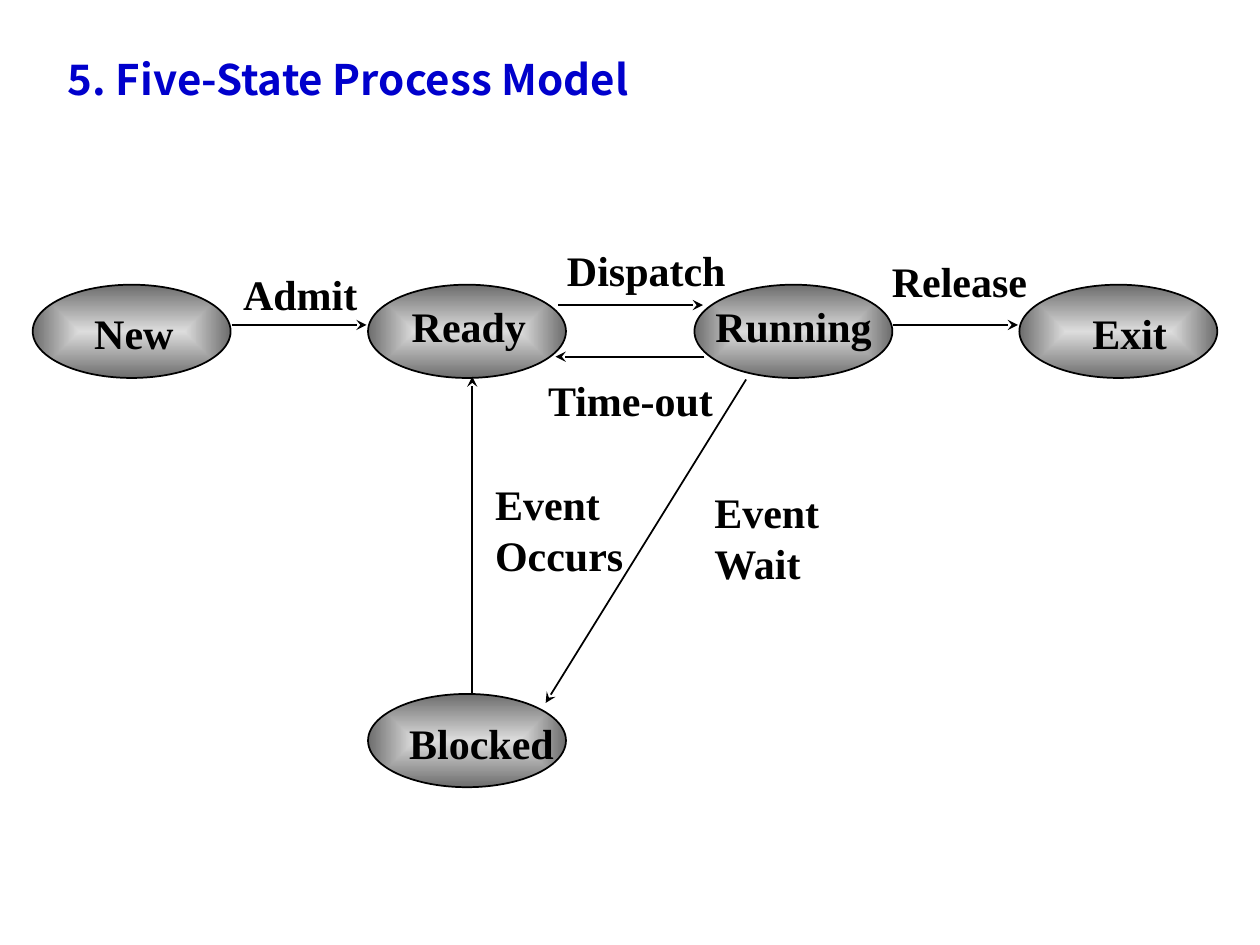
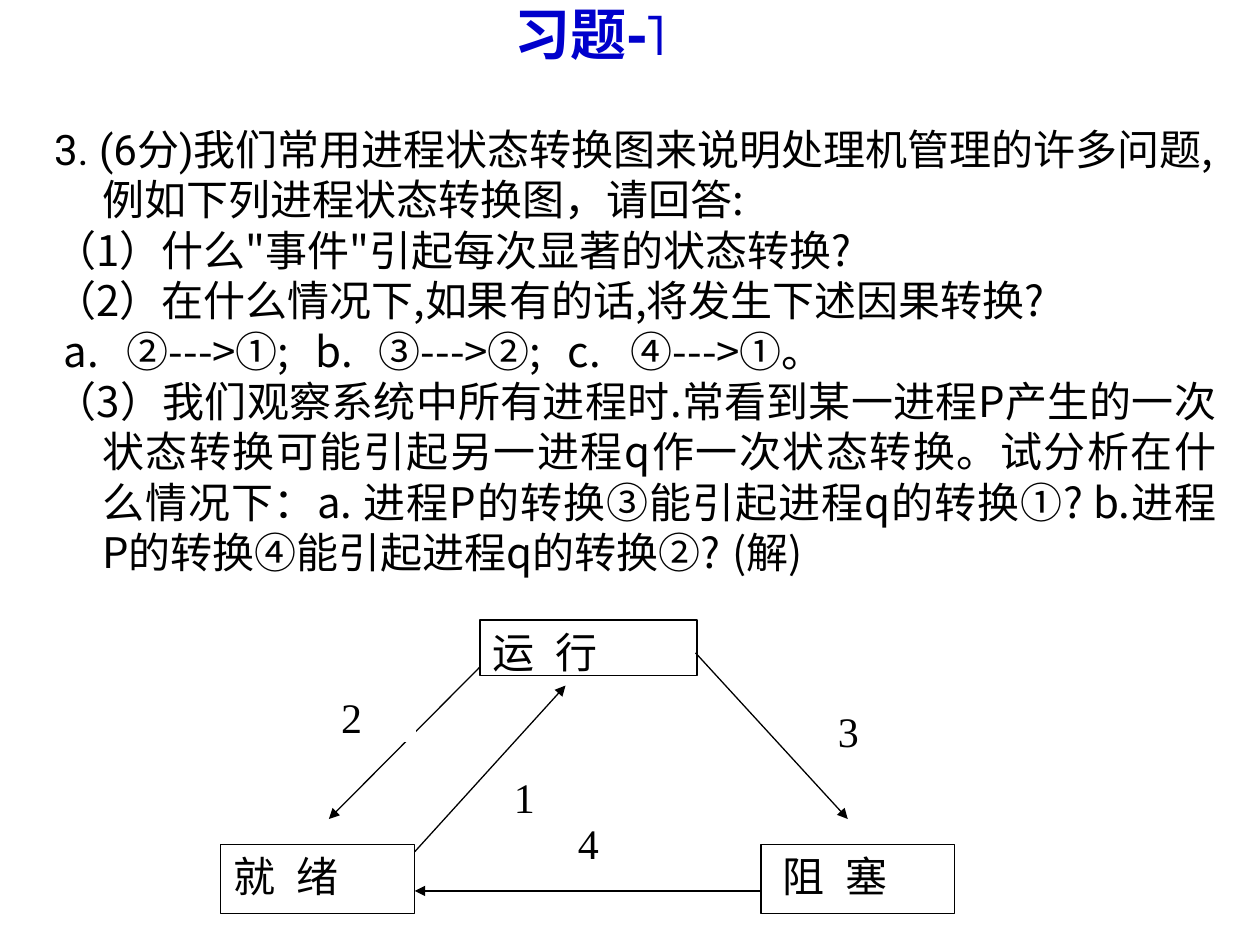
from dataclasses import dataclass

from lxml import etree
from pptx import Presentation
from pptx.dml.color import RGBColor
from pptx.enum.shapes import MSO_CONNECTOR, MSO_SHAPE
from pptx.enum.text import MSO_ANCHOR as Anchor, PP_ALIGN as Align
from pptx.oxml.ns import qn
from pptx.util import Cm, Pt

BLACK, WHITE, TITLE_BLUE = "000000", "FFFFFF", "0000CC"
GRADIENT_CENTRE, GRADIENT_EDGE = "DDDDDD", "6D6D6D"
SERIF, CJK = "Times New Roman", "Noto Sans CJK SC"
TEXT_SIZE, LINE_PITCH = 24, Pt(28.8)
LINE_CM = 1.02
INSET_X, INSET_Y = 0.25, 0.13


@dataclass(frozen=True)
class Box:
    left: float
    top: float
    width: float
    height: float

    def lengths(self) -> list:
        return [Cm(v) for v in (self.left, self.top, self.width, self.height)]


@dataclass(frozen=True)
class Label:
    text: str
    left: float
    top: float
    width: float

    def box(self) -> Box:
        lines = self.text.count("\n") + 1
        return Box(self.left, self.top, self.width, lines * LINE_CM + 2 * INSET_Y)


@dataclass(frozen=True)
class State:
    left: float
    top: float
    label: Label


@dataclass(frozen=True)
class Arrow:
    x1: float
    y1: float
    x2: float
    y2: float


@dataclass(frozen=True)
class Transition:
    label: Label
    arrow: Arrow


@dataclass(frozen=True)
class Card:
    text: str
    box: Box
    border: str = WHITE
    indent: float = 0


STATE_SIZE = (3.99, 1.88)
ROW_TOP, BLOCKED_TOP = 5.74, 13.99
STATES = [
    State(0.66, ROW_TOP, Label("New", 1.65, 6.07, 2.11)),
    State(14.0, ROW_TOP, Label("Running", 14.17, 5.92, 3.66)),
    State(20.55, ROW_TOP, Label("Exit", 21.77, 6.07, 2.01)),
    State(7.42, ROW_TOP, Label("Ready", 8.05, 5.92, 2.82)),
    State(7.42, BLOCKED_TOP, Label("Blocked", 8.0, 14.33, 3.43)),
]
TRANSITIONS = [
    Transition(Label("Admit", 4.65, 5.28, 2.82), Arrow(4.67, 6.55, 7.39, 6.55)),
    Transition(Label("Event\nOccurs", 9.73, 9.52, 3.1), Arrow(9.52, 13.99, 9.52, 7.59)),
    Transition(Label("Dispatch", 11.18, 4.8, 3.71), Arrow(11.25, 6.15, 14.17, 6.15)),
    Transition(Label("Release", 17.73, 5.03, 3.23), Arrow(18.01, 6.55, 20.52, 6.55)),
    Transition(Label("Time-out", 10.8, 7.42, 3.84), Arrow(14.2, 7.19, 11.2, 7.19)),
    Transition(Label("Event\nWait", 14.15, 9.68, 2.62), Arrow(15.04, 7.65, 11.0, 14.17)),
]

QUESTION_NUMBER = "3. (6分)"
QUESTION = "我们常用进程状态转换图来说明处理机管理的许多问题,例如下列进程状态转换图，请回答:"
PARTS = [
    "（1）什么\"事件\"引起每次显著的状态转换?",
    "（2）在什么情况下,如果有的话,将发生下述因果转换?",
    "a.\t②--->①;\tb.\t③--->②;\tc.\t④--->①。",
    "（3）我们观察系统中所有进程时.常看到某一进程P产生的一次状态转换可能引起另一进程q作一次"
    "状态转换。试分析在什么情况下：a. 进程P的转换③能引起进程q的转换①? "
    "b.进程P的转换④能引起进程q的转换②?\t(解)",
]
HANGING = 0.97
CAUSAL_INDENT, CAUSAL_TABS = 0.2, [1.08, 5.16, 6.27, 10.3, 11.35]
ANSWER_TAB = 19.8
STATE_NAME_TAB = 1.42

STATE_CARDS = [
    Card("运\t行", Box(9.68, 12.5, 4.37, 1.12), BLACK),
    Card("就\t绪", Box(4.45, 17.02, 3.91, 1.4), BLACK),
    Card("阻\t塞", Box(15.34, 17.02, 3.91, 1.4), BLACK, indent=0.18),
]
CARD_ARROWS = [
    Arrow(8.36, 17.17, 11.4, 13.82),
    Arrow(9.68, 13.44, 6.63, 16.51),
    Arrow(14.02, 13.16, 17.09, 16.51),
    Arrow(15.34, 17.96, 8.36, 17.96),
]
NUMBER_CARDS = [
    Card("1", Box(10.11, 15.42, 1.3, 1.12)),
    Card("2", Box(6.63, 13.82, 1.75, 1.12)),
    Card("3", Box(16.64, 14.1, 1.75, 1.12)),
    Card("4", Box(11.4, 16.36, 1.75, 1.12)),
]


def rgb(colour: str) -> RGBColor:
    return RGBColor.from_string(colour)


def style_run(run, font: str, size: float = TEXT_SIZE, colour: str = BLACK, bold: bool = False) -> None:
    run.font.name = font
    run.font.size = Pt(size)
    run.font.bold = bold
    run.font.color.rgb = rgb(colour)
    east_asian = etree.SubElement(run.font._element, qn("a:ea"))
    east_asian.set("typeface", CJK)


def set_insets(frame, indent: float = 0) -> None:
    frame.margin_left = Cm(INSET_X + indent)
    frame.margin_right = Cm(INSET_X)
    frame.margin_top = frame.margin_bottom = Cm(INSET_Y)


def set_layout(paragraph, left: float = 0, hanging: float = 0, tabs: tuple | list = ()) -> None:
    """Set line pitch, indents and left tab stops, all in centimetres."""
    paragraph.line_spacing = LINE_PITCH
    props = paragraph._p.get_or_add_pPr()
    props.set("marL", str(Cm(left)))
    props.set("indent", str(-Cm(hanging)))
    if tabs:
        tab_list = etree.SubElement(props, qn("a:tabLst"))
        for position in tabs:
            etree.SubElement(tab_list, qn("a:tab"), pos=str(Cm(position)), algn="l")


def add_text_box(slide, box: Box, wrap: bool = True):
    frame = slide.shapes.add_textbox(*box.lengths()).text_frame
    frame.word_wrap = wrap
    set_insets(frame)
    return frame


def add_title(slide, box: Box, parts: list[tuple[str, bool]], font: str, size: float,
              anchor: Anchor, align: Align) -> None:
    """Write a title from (text, bold) parts."""
    frame = add_text_box(slide, box)
    frame.vertical_anchor = anchor
    paragraph = frame.paragraphs[0]
    paragraph.alignment = align
    for text, bold in parts:
        run = paragraph.add_run()
        run.text = text
        style_run(run, font, size, TITLE_BLUE, bold)


def add_label(slide, label: Label) -> None:
    frame = add_text_box(slide, label.box(), wrap=False)
    frame.text = label.text
    for paragraph in frame.paragraphs:
        set_layout(paragraph)
        style_run(paragraph.runs[0], SERIF, bold=True)


def add_outlined(slide, kind: MSO_SHAPE, box: Box, border: str, weight: float):
    shape = slide.shapes.add_shape(kind, *box.lengths())
    shape.shadow.inherit = False
    shape.line.color.rgb = rgb(border)
    shape.line.width = Pt(weight)
    return shape


def add_state(slide, state: State) -> None:
    oval = add_outlined(slide, MSO_SHAPE.OVAL, Box(state.left, state.top, *STATE_SIZE), BLACK, 1)
    oval.fill.gradient()
    for stop, colour in zip(oval.fill.gradient_stops, (GRADIENT_CENTRE, GRADIENT_EDGE)):
        stop.color.rgb = rgb(colour)
    gradient = oval._element.spPr.find(qn("a:gradFill"))
    gradient.remove(gradient.find(qn("a:lin")))
    shade = etree.SubElement(gradient, qn("a:path"), path="rect")
    etree.SubElement(shade, qn("a:fillToRect"), l="50000", t="50000", r="50000", b="50000")


def add_arrow(slide, arrow: Arrow, head: str, weight: float) -> None:
    ends = [Cm(v) for v in (arrow.x1, arrow.y1, arrow.x2, arrow.y2)]
    connector = slide.shapes.add_connector(MSO_CONNECTOR.STRAIGHT, *ends)
    connector.line.color.rgb = rgb(BLACK)
    connector.line.width = Pt(weight)
    props = connector._element.spPr
    etree.SubElement(props.find(qn("a:ln")), qn("a:tailEnd"), type=head)
    etree.SubElement(props, qn("a:effectLst"))


def add_card(slide, card: Card) -> None:
    shape = add_outlined(slide, MSO_SHAPE.RECTANGLE, card.box, card.border, 0.75)
    shape.fill.solid()
    shape.fill.fore_color.rgb = rgb(WHITE)
    frame = shape.text_frame
    frame.word_wrap = True
    frame.vertical_anchor = Anchor.TOP
    set_insets(frame, card.indent)
    frame.text = card.text
    paragraph = frame.paragraphs[0]
    paragraph.alignment = Align.LEFT
    set_layout(paragraph, tabs=[STATE_NAME_TAB] if "\t" in card.text else [])
    style_run(paragraph.runs[0], SERIF)


def add_question(slide) -> None:
    frame = add_text_box(slide, Box(0.84, 2.36, 23.93, 9.9))
    opening = frame.paragraphs[0]
    set_layout(opening, HANGING, HANGING)
    for text, font in ((QUESTION_NUMBER, "Roboto"), (QUESTION, CJK)):
        run = opening.add_run()
        run.text = text
        style_run(run, font)
    for text in PARTS:
        paragraph = frame.add_paragraph()
        paragraph.text = text
        if text.startswith("a."):
            set_layout(paragraph, CAUSAL_INDENT, tabs=CAUSAL_TABS)
        else:
            paragraph.alignment = Align.JUSTIFY
            set_layout(paragraph, HANGING, HANGING, [ANSWER_TAB] if "\t" in text else [])
        for run in paragraph.runs:
            style_run(run, CJK)


def build_model_slide(slide) -> None:
    add_title(slide, Box(1.12, 0.64, 23.01, 1.9), [("5. Five-State Process Model", True)],
              CJK, 24, Anchor.MIDDLE, Align.LEFT)
    for state in STATES:
        add_state(slide, state)
    for state in STATES:
        add_label(slide, state.label)
    for transition in TRANSITIONS:
        add_arrow(slide, transition.arrow, "stealth", 1)
        add_label(slide, transition.label)


def build_exercise_slide(slide) -> None:
    add_title(slide, Box(1.12, 0.64, 21.59, 0.84), [("习题-", True), ("1", False)],
              "Montserrat", 32, Anchor.BOTTOM, Align.CENTER)
    add_question(slide)
    for card in STATE_CARDS:
        add_card(slide, card)
    for arrow in CARD_ARROWS:
        add_arrow(slide, arrow, "triangle", 0.75)
    for card in NUMBER_CARDS:
        add_card(slide, card)


def main() -> None:
    deck = Presentation()
    deck.slide_width, deck.slide_height = Cm(25.4), Cm(19.05)
    blank = deck.slide_layouts[6]
    for build in (build_model_slide, build_exercise_slide):
        build(deck.slides.add_slide(blank))
    deck.save("out.pptx")


if __name__ == "__main__":
    main()
